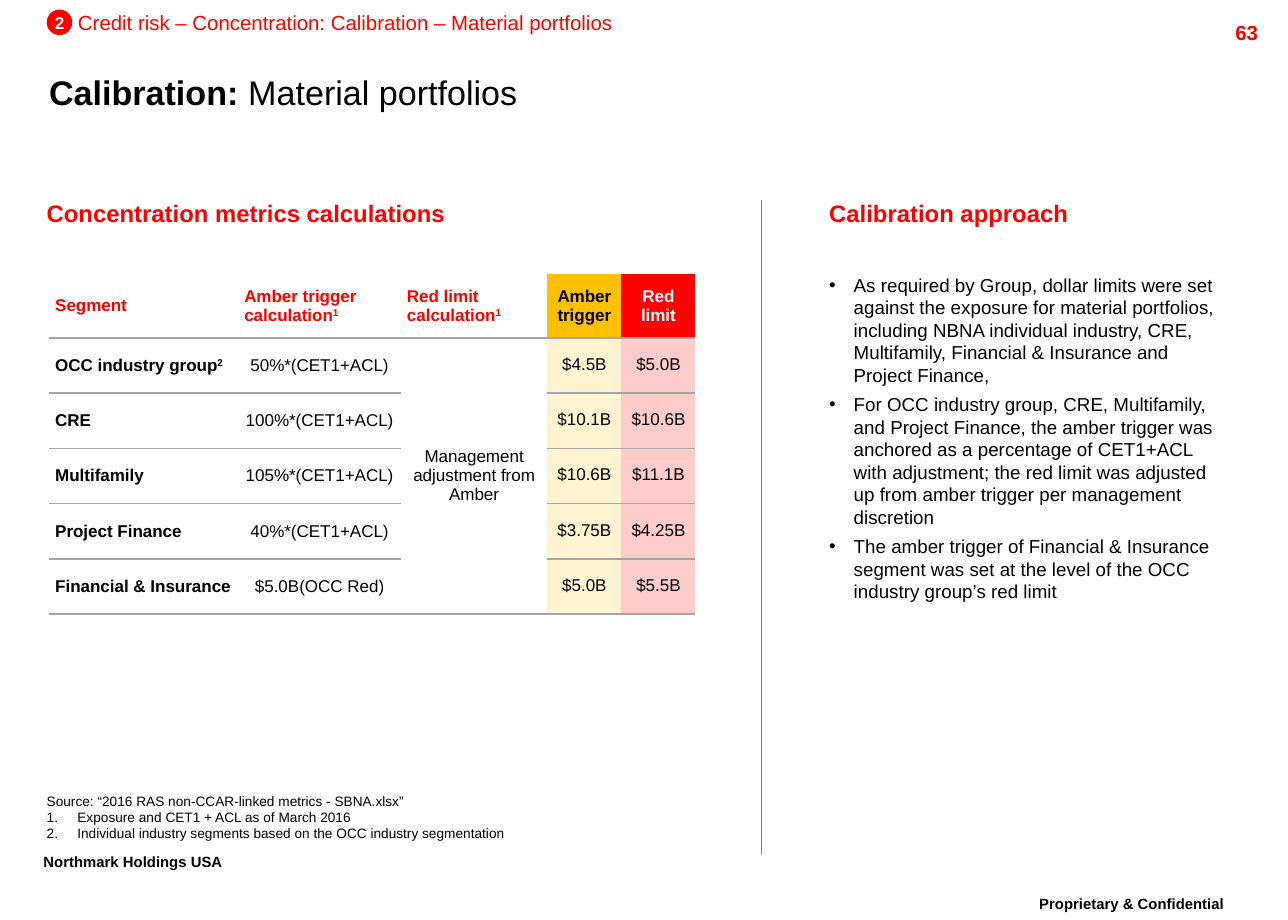
from lxml import etree
from pptx import Presentation
from pptx.dml.color import RGBColor
from pptx.enum.shapes import MSO_CONNECTOR, MSO_SHAPE
from pptx.enum.text import MSO_ANCHOR, MSO_AUTO_SIZE, PP_ALIGN
from pptx.oxml.ns import qn
from pptx.util import Pt

LEFT, CENTER, RIGHT = PP_ALIGN.LEFT, PP_ALIGN.CENTER, PP_ALIGN.RIGHT
TOP, MIDDLE, BOTTOM = MSO_ANCHOR.TOP, MSO_ANCHOR.MIDDLE, MSO_ANCHOR.BOTTOM
FIXED = MSO_AUTO_SIZE.NONE
OVAL, STRAIGHT = MSO_SHAPE.OVAL, MSO_CONNECTOR.STRAIGHT

BLACK = RGBColor(0x00, 0x00, 0x00)
WHITE = RGBColor(0xFF, 0xFF, 0xFF)
RED = RGBColor(0xFF, 0x00, 0x00)
AMBER = RGBColor(0xFF, 0xC0, 0x00)
CREAM = RGBColor(0xFF, 0xF4, 0xD1)
PINK = RGBColor(0xFF, 0xCC, 0xCC)
GRAY = RGBColor(0x7F, 0x7F, 0x7F)
RULE = RGBColor(0xA6, 0xA6, 0xA6)

FONT = "Arial"
PLAIN = "{2D5ABB26-0587-4C30-8999-92F81FD0307C}"  # table style with no grid

WIDTHS = [111, 95.5, 86, 43.5, 43.5]
HEADS = [  # text, raised mark, font colour, fill
    ("Segment", "", RED, None),
    ("Amber trigger calculation", "1", RED, None),
    ("Red limit calculation", "1", RED, None),
    ("Amber trigger", "", BLACK, AMBER),
    ("Red limit", "", WHITE, RED),
]
ROWS = [  # segment, raised mark, amber rule, amber trigger, red limit
    ("OCC industry group", "2", "50%*(CET1+ACL)", "$4.5B", "$5.0B"),
    ("CRE", "", "100%*(CET1+ACL)", "$10.1B", "$10.6B"),
    ("Multifamily", "", "105%*(CET1+ACL)", "$10.6B", "$11.1B"),
    ("Project Finance", "", "40%*(CET1+ACL)", "$3.75B", "$4.25B"),
    ("Financial & Insurance", "", "$5.0B(OCC Red)", "$5.0B", "$5.5B"),
]
POINTS = [
    "As required by Group, dollar limits were set against the exposure for "
    "material portfolios, including NBNA individual industry, CRE, "
    "Multifamily, Financial & Insurance and Project Finance,",
    "For OCC industry group, CRE, Multifamily, and Project Finance, the amber "
    "trigger was anchored as a percentage of CET1+ACL with adjustment; the red "
    "limit was adjusted up from amber trigger per management discretion",
    "The amber trigger of Financial & Insurance segment was set at the level "
    "of the OCC industry group’s red limit",
]
SOURCE = "Source: “2016 RAS non-CCAR-linked metrics - SBNA.xlsx”"
NOTES = [
    "Exposure and CET1 + ACL as of March 2016",
    "Individual industry segments based on the OCC industry segmentation",
]


def add_run(para, text, size, color, bold=False, raised=False):
    run = para.add_run()
    run.text = text
    font = run.font
    font.name, font.size, font.bold = FONT, Pt(size), bold
    font.color.rgb = color
    if raised:
        font._element.set("baseline", "30000")


def add_mark(para, indent, tag, **attrs):
    props = para._p.get_or_add_pPr()
    props.set("marL", str(Pt(indent)))
    props.set("indent", str(-Pt(indent)))
    etree.SubElement(props, qn(tag), **attrs)


def set_frame(shape, anchor=TOP, wrap=True):
    frame = shape.text_frame
    frame.auto_size = FIXED
    frame.word_wrap = wrap
    frame.vertical_anchor = anchor
    frame.margin_left = frame.margin_right = 0
    frame.margin_top = frame.margin_bottom = 0
    return frame


def place(shape, left, top, width, height):
    shape.left, shape.top = Pt(left), Pt(top)
    shape.width, shape.height = Pt(width), Pt(height)


def add_label(slide, text, box, size, color, bold=True, align=LEFT):
    shape = slide.shapes.add_textbox(*map(Pt, box))
    para = set_frame(shape).paragraphs[0]
    para.alignment = align
    add_run(para, text, size, color, bold)


def add_title(slide):
    title = slide.shapes.title
    place(title, 28.8, 36.7, 682.5, 34.5)
    para = set_frame(title, MIDDLE).paragraphs[0]
    para.alignment = LEFT
    add_run(para, "Calibration: ", 20, BLACK, True)
    add_run(para, "Material portfolios", 20, BLACK)


def add_points(slide):
    body = slide.placeholders[1]
    place(body, 486.7, 160.6, 227, 194.5)
    frame = set_frame(body)
    for i, text in enumerate(POINTS):
        para = frame.add_paragraph() if i else frame.paragraphs[0]
        add_mark(para, 14.4, "a:buChar", char="•")
        para.space_before = Pt(4 if i else 0)
        add_run(para, text, 11, BLACK)


def add_notes(slide):
    shape = slide.shapes.add_textbox(Pt(27.4), Pt(465), Pt(400), Pt(29))
    frame = set_frame(shape, BOTTOM)
    add_run(frame.paragraphs[0], SOURCE, 8, BLACK)
    for text in NOTES:
        para = frame.add_paragraph()
        add_mark(para, 18, "a:buAutoNum", type="arabicPeriod")
        add_run(para, text, 8, BLACK)


def add_badge(slide):
    badge = slide.shapes.add_shape(OVAL, Pt(27.4), Pt(5.6), Pt(15), Pt(15))
    badge.shadow.inherit = False
    badge.fill.solid()
    badge.fill.fore_color.rgb = RED
    badge.line.fill.background()
    para = set_frame(badge, MIDDLE, False).paragraphs[0]
    para.alignment = CENTER
    add_run(para, "2", 10, WHITE, True)


def add_rule(slide):
    rule = slide.shapes.add_connector(
        STRAIGHT, Pt(447), Pt(117.4), Pt(447), Pt(501))
    rule.line.color.rgb = GRAY
    rule.line.width = Pt(0.75)
    etree.SubElement(rule._element.spPr, qn("a:effectLst"))


def add_edge(cell):
    line = etree.SubElement(
        cell._tc.get_or_add_tcPr(), qn("a:lnB"), w=str(Pt(1)))
    fill = etree.SubElement(line, qn("a:solidFill"))
    etree.SubElement(fill, qn("a:srgbClr"), val=str(RULE))


def fill_cell(cell, text, mark="", color=BLACK, back=None, bold=False,
              align=CENTER, lead=None):
    cell.vertical_anchor = MIDDLE
    cell.margin_left = cell.margin_right = Pt(3.6)
    cell.margin_top = cell.margin_bottom = Pt(1.4)
    para = cell.text_frame.paragraphs[0]
    para.alignment = align
    if lead:
        para.line_spacing = Pt(lead)
    add_run(para, text, 10, color, bold)
    if mark:
        add_run(para, mark, 10, color, bold, True)
    if back is None:
        cell.fill.background()
    else:
        cell.fill.solid()
        cell.fill.fore_color.rgb = back


def add_grid(slide):
    last = len(ROWS)
    frame = slide.shapes.add_table(
        last + 1, len(WIDTHS), Pt(28.8), Pt(160.6), Pt(sum(WIDTHS)), Pt(200))
    grid = frame.table
    grid.first_row = grid.horz_banding = False
    next(frame._element.iter(qn("a:tableStyleId"))).text = PLAIN
    for col, width in zip(grid.columns, WIDTHS):
        col.width = Pt(width)
    for i, row in enumerate(grid.rows):
        row.height = Pt(32.45 if i else 37.75)

    # Row edges leave the merged column open
    grid.cell(1, 2).merge(grid.cell(last, 2))
    for i in range(last + 1):
        for j in range(len(WIDTHS)):
            if j != 2 or i in (0, 1, last):
                add_edge(grid.cell(i, j))

    # Header and body cells
    for j, (text, mark, color, back) in enumerate(HEADS):
        fill_cell(grid.cell(0, j), text, mark, color, back, True,
                  CENTER if back else LEFT)
    for i, (name, mark, calc, amber, red) in enumerate(ROWS, 1):
        fill_cell(grid.cell(i, 0), name, mark, bold=True, align=LEFT)
        fill_cell(grid.cell(i, 1), calc)
        fill_cell(grid.cell(i, 3), amber, back=CREAM, lead=10)
        fill_cell(grid.cell(i, 4), red, back=PINK, lead=10)
    fill_cell(grid.cell(1, 2), "Management adjustment from Amber")


def main():
    deck = Presentation()
    deck.slide_width, deck.slide_height = Pt(756), Pt(540)
    slide = deck.slides.add_slide(deck.slide_layouts[1])

    # Top band
    add_badge(slide)
    add_label(slide, "Credit risk – Concentration: Calibration – Material portfolios",
              (45.8, 6, 330, 15), 12, RED, False)
    add_label(slide, "63", (680, 11.7, 58.5, 15), 12, RED, align=RIGHT)
    add_title(slide)

    # Left and right parts
    add_label(slide, "Concentration metrics calculations",
              (27.4, 116.5, 324, 20), 14, RED)
    add_grid(slide)
    add_rule(slide)
    add_label(slide, "Calibration approach", (486.7, 116.5, 242, 20), 14, RED)
    add_points(slide)

    # Foot
    add_notes(slide)
    add_label(slide, "Northmark Holdings USA", (25.5, 500.5, 150, 11), 8.7, BLACK)
    add_label(slide, "Proprietary & Confidential", (590, 525.2, 128.5, 11),
              8.7, BLACK, align=RIGHT)
    deck.save("out.pptx")


if __name__ == "__main__":
    main()
